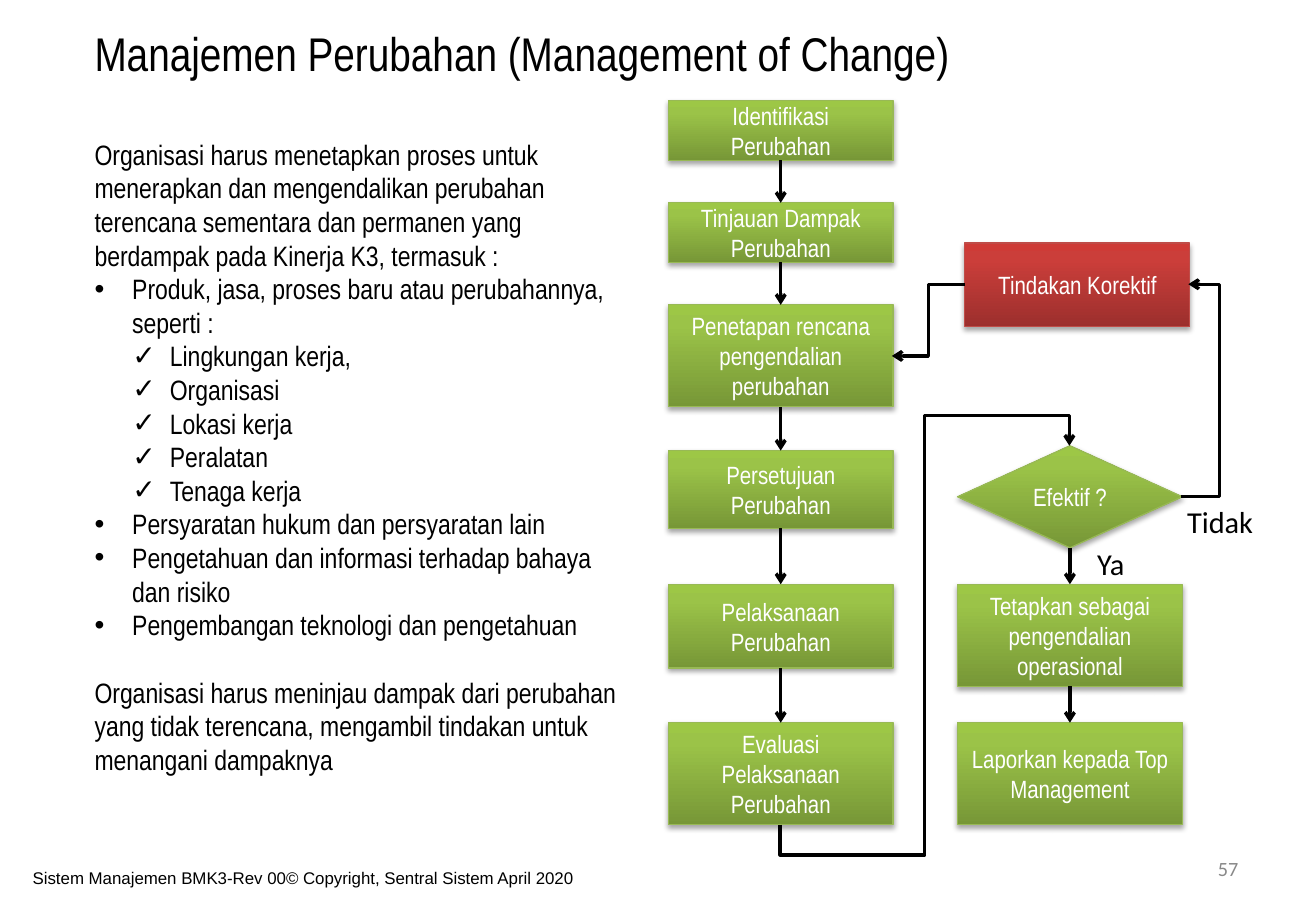
import copy
from dataclasses import dataclass

import lxml.etree
import pptx
import pptx.dml.color
import pptx.enum.shapes
import pptx.enum.text
import pptx.oxml
import pptx.oxml.ns
import pptx.util

PX = 9144
SHAPES = pptx.enum.shapes.MSO_SHAPE
ALIGN = pptx.enum.text.PP_ALIGN
ANCHOR = pptx.enum.text.MSO_ANCHOR


@dataclass(frozen=True)
class Theme:
    ink: str = "000000"
    box_ink: str = "FFFFFF"
    muted: str = "898989"
    green: tuple = ("779737", "9BC348", "9DC746")
    green_edge: str = "98B955"
    red: tuple = ("9C2F2D", "CB3E3A", "CE3B37")
    red_edge: str = "BF4C48"
    stops: tuple = (0, 0.8, 1)
    narrow: str = "Arial Narrow"
    label_face: str = "Calibri"
    footer_face: str = "Arial"
    title: float = 28
    body: float = 16.6
    box: float = 14.8
    label: float = 18
    number: float = 12
    footer: float = 10


def rgb(color):
    return pptx.dml.color.RGBColor.from_string(color)


def px(*lengths):
    return [round(length * PX) for length in lengths]


def add_child(parent, tag, **attributes):
    child = lxml.etree.SubElement(parent, pptx.oxml.ns.qn(tag))
    for name, value in attributes.items():
        child.set(name, str(value))
    return child


class FlowSlide:
    def __init__(self, slide, theme):
        self.shapes = slide.shapes
        self.theme = theme

    def style(self, paragraph, size, face, color, align=ALIGN.LEFT):
        paragraph.alignment = align
        paragraph.font.size = pptx.util.Pt(size)
        paragraph.font.name = face
        paragraph.font.color.rgb = rgb(color)

    def text(self, at, words, size, face, color=None, align=ALIGN.LEFT,
             anchor=ANCHOR.TOP, wrap=True):
        frame = self.shapes.add_textbox(*px(*at)).text_frame
        frame.word_wrap = wrap
        frame.vertical_anchor = anchor
        frame.text = words
        self.style(frame.paragraphs[0], size, face, color or self.theme.ink, align)

    def body(self, at, entries):
        frame = self.shapes.add_textbox(*px(*at)).text_frame
        frame.word_wrap = True
        for index, (bullet, level, gap, words) in enumerate(entries):
            paragraph = frame.paragraphs[0] if index == 0 else frame.add_paragraph()
            paragraph.text = words
            if gap:
                paragraph.space_before = pptx.util.Pt(gap)
            if bullet:
                indent = 31 * PX
                properties = paragraph._p.get_or_add_pPr()
                properties.set("marL", str(level * indent))
                properties.set("indent", str(-indent))
                add_child(properties, "a:buFont", typeface=self.theme.footer_face)
                add_child(properties, "a:buChar", char=bullet)
            self.style(paragraph, self.theme.body, self.theme.narrow, self.theme.ink)

    def box(self, at, words, kind=SHAPES.RECTANGLE, colors=None, edge=None):
        shape = self.shapes.add_shape(kind, *px(*at))
        shape.shadow.inherit = False
        shape.fill.gradient()
        shape.fill.gradient_angle = 90
        stop_list = shape._element.spPr.xpath(".//a:gsLst")[0]
        stop_list.append(copy.deepcopy(stop_list[0]))
        for stop, position, color in zip(
            shape.fill.gradient_stops, self.theme.stops, colors or self.theme.green
        ):
            stop.position = position
            stop.color.rgb = rgb(color)
        shape.line.color.rgb = rgb(edge or self.theme.green_edge)
        shape.line.width = pptx.util.Pt(0.75)
        effects = shape._element.spPr.xpath("./a:effectLst")[0]
        shadow = add_child(effects, "a:outerShdw", blurRad=40000, dist=23000,
                           dir=5400000, rotWithShape=0)
        add_child(add_child(shadow, "a:srgbClr", val=self.theme.ink), "a:alpha", val=35000)
        frame = shape.text_frame
        frame.word_wrap = True
        frame.vertical_anchor = ANCHOR.MIDDLE
        frame.text = words
        self.style(frame.paragraphs[0], self.theme.box, self.theme.narrow,
                   self.theme.box_ink, ALIGN.CENTER)
        return shape

    def connector(self, kind, begin, end):
        line = self.shapes.add_connector(kind, *px(*begin, *end))
        line.line.color.rgb = rgb(self.theme.ink)
        line.line.width = pptx.util.Pt(2)
        add_child(line.line._get_or_add_ln(), "a:tailEnd", type="arrow")
        add_child(line._element.spPr, "a:effectLst")
        return line

    def down_arrow(self, upper, lower):
        line = self.connector(pptx.enum.shapes.MSO_CONNECTOR.STRAIGHT, (0, 0), (0, 0))
        line.begin_connect(upper, 2)
        line.end_connect(lower, 0)

    def elbow(self, begin, end, adjustments, upright=False):
        if upright:
            mid_x, mid_y = (begin[0] + end[0]) / 2, (begin[1] + end[1]) / 2
            begin, end = [(mid_x + y - mid_y, mid_y - x + mid_x) for x, y in (begin, end)]
        line = self.connector(pptx.enum.shapes.MSO_CONNECTOR.ELBOW, begin, end)
        properties = line._element.spPr
        if upright:
            properties.xpath("./a:xfrm")[0].set("rot", "5400000")
        geometry = properties.xpath("./a:prstGeom")[0]
        geometry.set("prst", f"bentConnector{len(adjustments) + 2}")
        guides = geometry.xpath("./a:avLst")[0]
        for number, share in enumerate(adjustments, 1):
            add_child(guides, "a:gd", name=f"adj{number}", fmla=f"val {round(share * 100000)}")


BODY = [
    (None, 0, 0, "Organisasi harus menetapkan proses untuk menerapkan dan mengendalikan "
     "perubahan terencana sementara dan permanen yang berdampak pada Kinerja K3, termasuk :"),
    ("•", 1, 0, "Produk, jasa, proses baru atau perubahannya, seperti :"),
    *[("✓", 2, 0, words) for words in
      ("Lingkungan kerja,", "Organisasi", "Lokasi kerja", "Peralatan", "Tenaga kerja")],
    *[("•", 1, 0, words) for words in
      ("Persyaratan hukum dan persyaratan lain",
       "Pengetahuan dan informasi terhadap bahaya dan risiko",
       "Pengembangan teknologi dan pengetahuan")],
    (None, 0, 20, "Organisasi harus meninjau dampak dari perubahan yang tidak terencana, "
     "mengambil tindakan untuk menangani dampaknya"),
]
CHANGE_STEPS = [
    (83, 49, "Identifikasi Perubahan", SHAPES.RECTANGLE),
    (167, 49, "Tinjauan Dampak Perubahan", SHAPES.RECTANGLE),
    (251, 84, "Penetapan rencana pengendalian perubahan", SHAPES.RECTANGLE),
    (371, 64, "Persetujuan Perubahan", SHAPES.RECTANGLE),
    (481, 69, "Pelaksanaan Perubahan", SHAPES.RECTANGLE),
    (595, 84, "Evaluasi Pelaksanaan Perubahan", SHAPES.RECTANGLE),
]
REVIEW_STEPS = [
    (367, 84, "Efektif ?", SHAPES.FLOWCHART_DECISION),
    (481, 84, "Tetapkan sebagai pengendalian operasional", SHAPES.RECTANGLE),
    (595, 84, "Laporkan kepada Top Management", SHAPES.RECTANGLE),
]


def main():
    deck = pptx.Presentation()
    deck.slide_width, deck.slide_height = px(1083, 750)
    theme = Theme()
    page = FlowSlide(deck.slides.add_slide(deck.slide_layouts[6]), theme)

    page.text((68, 15, 974, 57), "Manajemen Perubahan (Management of Change)",
              theme.title, theme.narrow)
    page.body((68, 108, 455, 542), BODY)

    for left, steps in ((550, CHANGE_STEPS), (788, REVIEW_STEPS)):
        boxes = [page.box((left, top, 185, height), words, kind)
                 for top, height, words, kind in steps]
        for upper, lower in zip(boxes, boxes[1:]):
            page.down_arrow(upper, lower)
    page.box((794, 200, 185, 69), "Tindakan Korektif", colors=theme.red, edge=theme.red_edge)

    page.elbow((642, 679), (880, 367), (-0.08, 0.5, 1.08), upright=True)
    page.elbow((972, 409), (978, 234), (5.25,))
    page.elbow((794, 234), (734, 293), (0.5,))

    for at, answer in (((893, 444, 43, 40), "Ya"), ((967, 409, 75, 40), "Tidak")):
        page.text(at, answer, theme.label, theme.label_face, wrap=False)
    page.text((776, 695, 253, 40), "57", theme.number, theme.label_face, theme.muted,
              ALIGN.RIGHT, ANCHOR.MIDDLE)
    page.text((17, 709, 525, 40),
              "Sistem Manajemen BMK3-Rev 00© Copyright, Sentral Sistem April 2020",
              theme.footer, theme.footer_face)
    deck.save("out.pptx")


if __name__ == "__main__":
    main()
